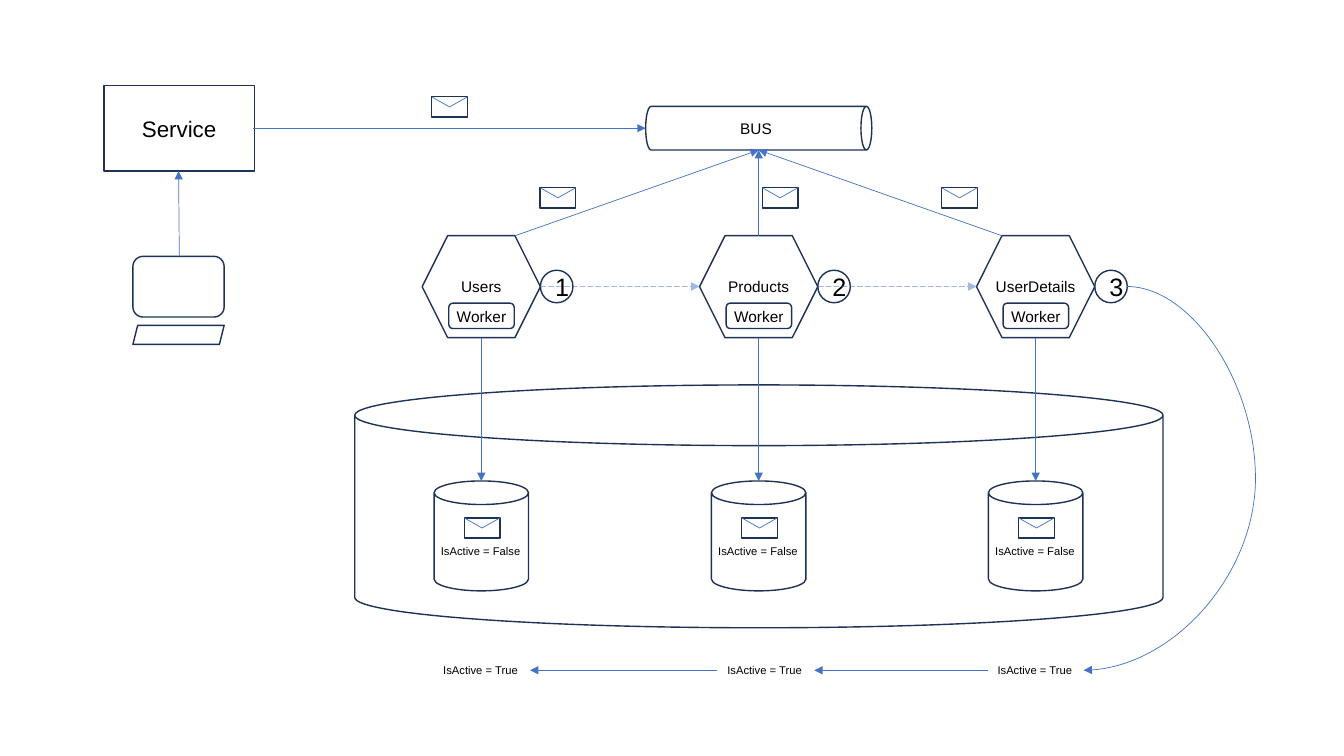
from lxml import etree
from pptx import Presentation
from pptx import util as u
from pptx.dml.color import RGBColor
from pptx.enum import dml, shapes, text
from pptx.oxml.ns import qn

INK, BLUE, BLACK = "1E3256", "4472C4", "000000"
KIND = shapes.MSO_SHAPE
CENTRES = [12.13, 19.12, 26.1]
TRUE_LABELS = [10.92, 18.08, 24.89]
WORKER_TOP, STORE_TOP, BUS_BOTTOM = 5.94, 12.12, 3.78
SERVICE_Y, TRUE_Y = 3.23, 16.89


def colour(value):
    """Turn a hex string into a colour."""
    return RGBColor.from_string(value)


def write(shape, words, size, align=None):
    """Put one formatted paragraph into a shape."""
    frame = shape.text_frame
    frame.text = words
    para = frame.paragraphs[0]
    para.alignment = align
    font = para.runs[0].font
    font.name, font.size = "Arial", u.Pt(size)
    font.color.rgb = colour(BLACK)


def outline(parent, kind, left, top, width, height, words="", size=11, inset=0):
    """Draw an unfilled shape with optional centred text."""
    shape = parent.add_shape(kind, u.Cm(left), u.Cm(top), u.Cm(width), u.Cm(height))
    shape.shadow.inherit = False
    shape.fill.background()
    shape.line.color.rgb = colour(INK)
    shape.line.width = u.Pt(1)
    if words:
        frame = shape.text_frame
        frame.vertical_anchor = text.MSO_ANCHOR.MIDDLE
        frame.margin_left = frame.margin_right = u.Cm(inset)
        frame.margin_top = frame.margin_bottom = u.Cm(inset / 2)
        write(shape, words, size, text.PP_ALIGN.CENTER)
    return shape


def link(parent, start, end, arrow=True, dashed=False, kind=shapes.MSO_CONNECTOR.STRAIGHT):
    """Draw a thin blue connector between two points."""
    line = parent.add_connector(kind, *(u.Cm(value) for value in (*start, *end)))
    line.line.color.rgb = colour(BLUE)
    line.line.width = u.Pt(0.5)
    properties = line.element.spPr
    stroke = properties.find(qn("a:ln"))
    if dashed:
        line.line.dash_style = dml.MSO_LINE.LONG_DASH
        tint = stroke.find(".//" + qn("a:srgbClr"))
        etree.SubElement(tint, qn("a:alpha"), val="50000")
    if arrow:
        etree.SubElement(stroke, qn("a:tailEnd"), type="triangle")
    etree.SubElement(properties, qn("a:effectLst"))
    return line


def label(parent, words, left, top, width):
    """Add a small unwrapped caption."""
    box = parent.add_textbox(u.Cm(left), u.Cm(top), u.Cm(width), u.Cm(0.61))
    box.text_frame.word_wrap = False
    box.text_frame.auto_size = text.MSO_AUTO_SIZE.SHAPE_TO_FIT_TEXT
    write(box, words, 8)


def envelope(page, left, top):
    """Draw a message envelope and return its group."""
    group = page.shapes.add_group_shape()
    width, height = 0.9, 0.51
    outline(group.shapes, KIND.RECTANGLE, left, top, width, height)
    for corner in (left, left + width):
        link(group.shapes, (corner, top), (left + width / 2, top + height / 2), arrow=False)
    return group


def client(page, left, top):
    """Draw the computer, the service above it and the link between them."""
    outline(page.shapes, KIND.ROUNDED_RECTANGLE, left, top, 2.3, 1.53)
    outline(page.shapes, KIND.PARALLELOGRAM, left, top + 1.74, 2.3, 0.48)
    outline(page.shapes, KIND.RECTANGLE, left - 0.73, top - 4.3, 3.79, 2.15, "Service", 16)
    link(page.shapes, (left + 1.17, top), (left + 1.15, top - 2.15))


def bus(page, centre, middle):
    """Draw the bus as a lying cylinder with its incoming message."""
    can = outline(page.shapes, KIND.CAN, centre - 0.55, middle - 2.85, 1.1, 5.7, "BUS")
    can.rotation = 90
    can.element.txBody.bodyPr.set("vert", "vert270")
    link(page.shapes, (6.38, middle), (centre - 2.85, middle))
    envelope(page, 10.88, 2.44)


def worker(page, centre, top, name, number):
    """Draw a numbered worker hexagon."""
    outline(page.shapes, KIND.HEXAGON, centre - 1.49, top, 2.98, 2.57, name)
    outline(page.shapes, KIND.ROUNDED_RECTANGLE, centre - 0.82, top + 1.7, 1.65, 0.64, "Worker")
    outline(page.shapes, KIND.OVAL, centre + 1.49, top + 0.87, 0.82, 0.82, str(number), 18, 0.25)


def store(page, centre, top):
    """Draw one table cylinder holding an inactive message."""
    outline(page.shapes, KIND.CAN, centre - 1.19, top, 2.38, 2.77)
    link(page.shapes, (centre, WORKER_TOP + 2.57), (centre, top))
    message = envelope(page, centre - 0.43, top + 0.93)
    label(message.shapes, "IsActive = False", centre - 1.27, top + 1.47, 2.54)


def activation(page, middle):
    """Draw the row of active states and the arrows running back through it."""
    width = 2.44
    for left in TRUE_LABELS:
        label(page.shapes, "IsActive = True", left, middle - 0.3, width)
    for target, source in zip(TRUE_LABELS, TRUE_LABELS[1:]):
        link(page.shapes, (source, middle), (target + width, middle))
    curve = link(page.shapes, (28.4, 7.22), (27.31, middle), kind=shapes.MSO_CONNECTOR.CURVE)
    guides = curve.element.spPr.find(".//" + qn("a:avLst"))
    etree.SubElement(guides, qn("a:gd"), name="adj1", fmla="val -297400")


def main():
    """Build the message flow slide."""
    deck = Presentation()
    deck.slide_width, deck.slide_height = u.Cm(33.87), u.Cm(19.05)
    page = deck.slides.add_slide(deck.slide_layouts[6])
    for number, (centre, name) in enumerate(zip(CENTRES, ("Users", "Products", "UserDetails")), 1):
        worker(page, centre, WORKER_TOP, name, number)
    client(page, 3.35, 6.46)
    bus(page, CENTRES[1], SERVICE_Y)
    for centre, shift, left in zip(CENTRES, (0.85, 0, -0.85), (13.61, 19.21, 23.73)):
        link(page.shapes, (centre + shift, WORKER_TOP), (CENTRES[1], BUS_BOTTOM))
        envelope(page, left, 4.73)
    for source, target in zip(CENTRES, CENTRES[1:]):
        link(page.shapes, (source + 1.49, 7.22), (target - 1.49, 7.22), dashed=True)
    outline(page.shapes, KIND.CAN, 8.94, 9.7, 20.37, 6.12)
    for centre in CENTRES:
        store(page, centre, STORE_TOP)
    activation(page, TRUE_Y)
    deck.save("out.pptx")


if __name__ == "__main__":
    main()
